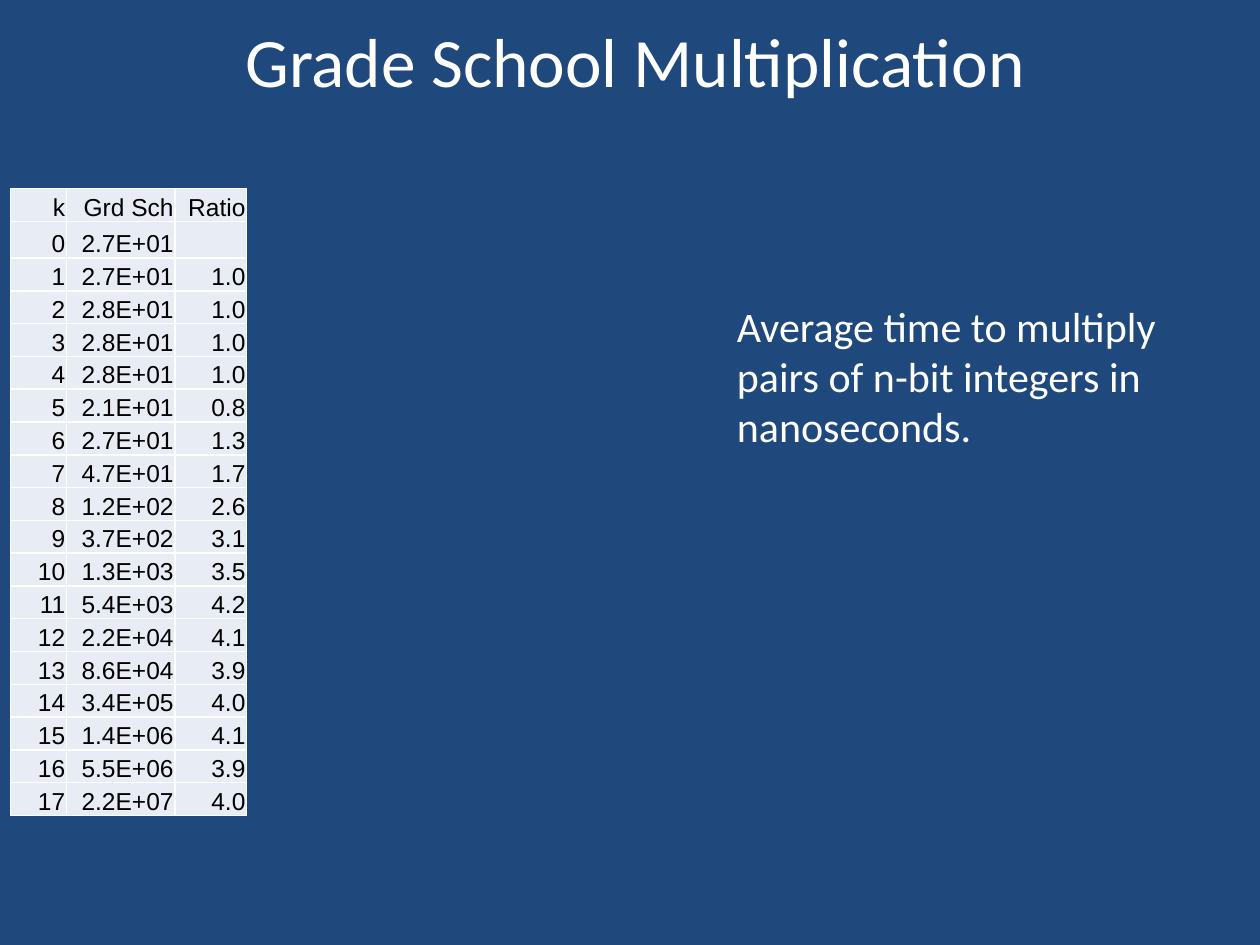
from dataclasses import dataclass

from lxml import etree
from pptx import Presentation
from pptx.dml.color import RGBColor
from pptx.enum import text
from pptx.oxml import ns
from pptx.util import Pt


@dataclass(frozen=True)
class Theme:
    background: str = "1F497D"
    light: str = "FFFFFF"
    dark: str = "000000"
    cell_fill: str = "E8ECF4"
    heading_font: str = "Calibri"
    table_font: str = "Arial"
    title_size: float = 39.6
    note_size: float = 24
    table_size: float = 14
    border_width: float = 1


class SlideBuilder:
    """Holds the theme and the current slide, and adds styled elements to it."""

    def __init__(self, presentation, theme):
        self.theme = theme
        self.slide = presentation.slides.add_slide(presentation.slide_layouts[5])
        fill = self.slide.background.fill
        fill.solid()
        fill.fore_color.rgb = RGBColor.from_string(theme.background)

    def style(self, paragraph, font_name, size, color, alignment):
        paragraph.alignment = alignment
        paragraph.font.name = font_name
        paragraph.font.size = Pt(size)
        paragraph.font.color.rgb = RGBColor.from_string(color)

    def title(self, wording, left, top, width, height):
        shape = self.slide.shapes.title
        shape.left, shape.top = Pt(left), Pt(top)
        shape.width, shape.height = Pt(width), Pt(height)
        frame = shape.text_frame
        frame.text = wording
        frame.auto_size = text.MSO_AUTO_SIZE.NONE
        frame.vertical_anchor = text.MSO_ANCHOR.MIDDLE
        self.style(frame.paragraphs[0], self.theme.heading_font,
                   self.theme.title_size, self.theme.light, text.PP_ALIGN.CENTER)

    def note(self, lines, left, top, width, height):
        shape = self.slide.shapes.add_textbox(Pt(left), Pt(top), Pt(width), Pt(height))
        shape.text_frame.word_wrap = False
        paragraph = shape.text_frame.paragraphs[0]
        for index, line in enumerate(lines):
            if index:
                paragraph.add_line_break()
            paragraph.add_run().text = line
        self.style(paragraph, self.theme.heading_font,
                   self.theme.note_size, self.theme.light, text.PP_ALIGN.LEFT)

    def table(self, rows, left, top, column_widths, row_heights):
        shape = self.slide.shapes.add_table(
            len(rows), len(column_widths), Pt(left), Pt(top),
            Pt(sum(column_widths)), Pt(sum(row_heights)))
        table = shape.table
        table.first_row = table.horz_banding = False
        for column, width in zip(table.columns, column_widths):
            column.width = Pt(width)
        for row, height, values in zip(table.rows, row_heights, rows):
            row.height = Pt(height)
            for cell, value in zip(row.cells, values):
                self.cell(cell, value)

    def cell(self, cell, value):
        cell.text = value
        cell.vertical_anchor = text.MSO_ANCHOR.BOTTOM
        cell.margin_left = cell.margin_right = cell.margin_top = Pt(0.72)
        cell.margin_bottom = Pt(0)
        self.style(cell.text_frame.paragraphs[0], self.theme.table_font,
                   self.theme.table_size, self.theme.dark, text.PP_ALIGN.RIGHT)
        self.borders(cell)
        cell.fill.solid()
        cell.fill.fore_color.rgb = RGBColor.from_string(self.theme.cell_fill)

    def borders(self, cell):
        properties = cell._tc.get_or_add_tcPr()
        for side in ("a:lnL", "a:lnR", "a:lnT", "a:lnB"):
            line = etree.SubElement(properties, ns.qn(side),
                                    w=str(Pt(self.theme.border_width)))
            fill = etree.SubElement(line, ns.qn("a:solidFill"))
            etree.SubElement(fill, ns.qn("a:srgbClr"), val=self.theme.light)


TIMES = """2.7E+01 2.7E+01 2.8E+01 2.8E+01 2.8E+01 2.1E+01 2.7E+01 4.7E+01 1.2E+02
3.7E+02 1.3E+03 5.4E+03 2.2E+04 8.6E+04 3.4E+05 1.4E+06 5.5E+06 2.2E+07""".split()
RATIOS = [""] + """1.0 1.0 1.0 1.0 0.8 1.3 1.7 2.6
3.1 3.5 4.2 4.1 3.9 4.0 4.1 3.9 4.0""".split()


def main():
    presentation = Presentation()
    presentation.slide_width, presentation.slide_height = Pt(720), Pt(540)
    builder = SlideBuilder(presentation, Theme())
    builder.title("Grade School Multiplication", 39, 6, 648, 56)
    builder.note(["Average time to multiply", "pairs of n-bit integers in", "nanoseconds."],
                 414, 168, 256, 94)
    rows = [("k", "Grd Sch", "Ratio")]
    rows += [(str(k), *pair) for k, pair in enumerate(zip(TIMES, RATIOS))]
    row_heights = [18.75, 21] + [18.75] * (len(rows) - 2)
    builder.table(rows, 6, 107.75, [32, 62, 41], row_heights)
    presentation.save("out.pptx")


if __name__ == "__main__":
    main()
